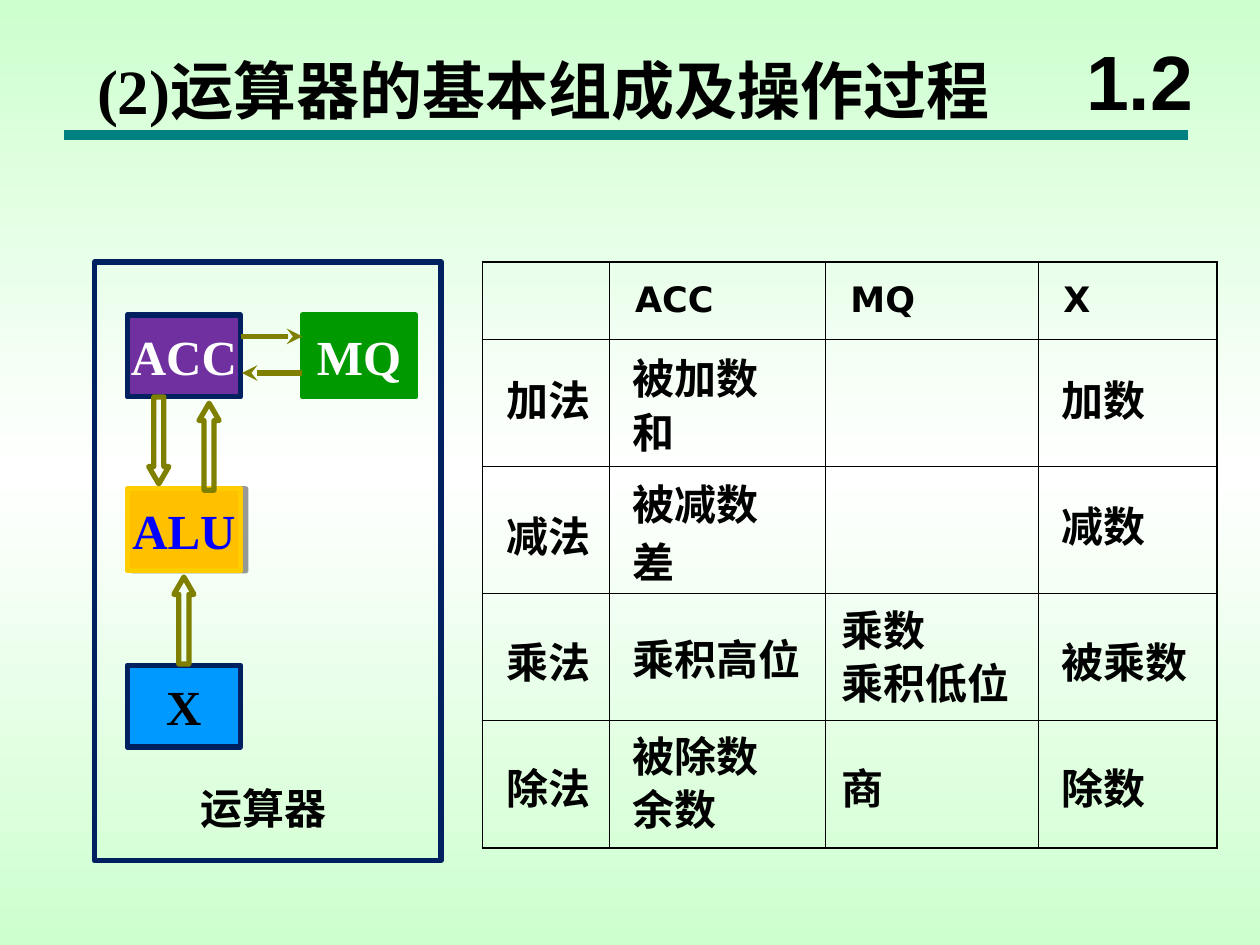
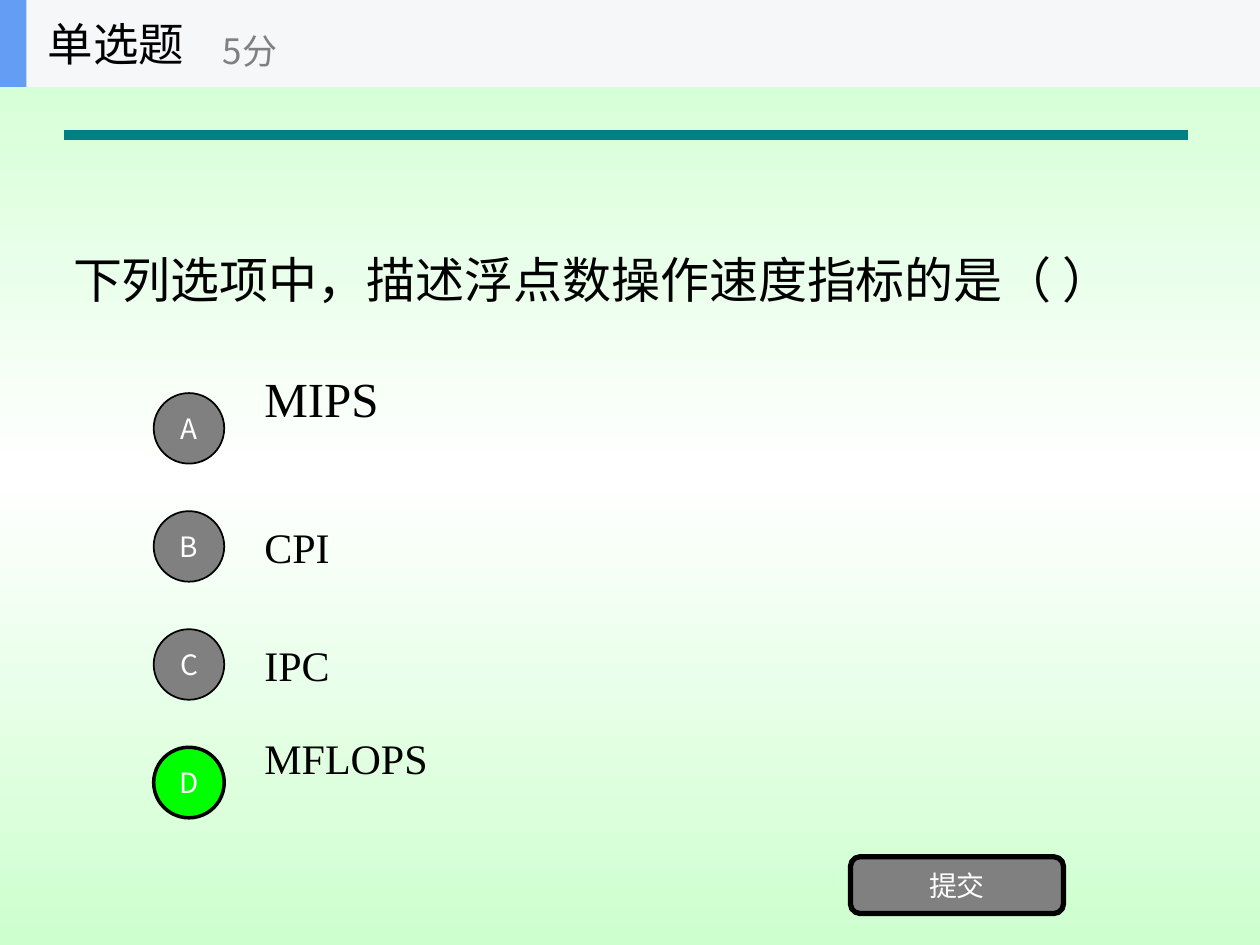
import copy

import pptx
import pptx.dml.color
import pptx.enum.shapes
import pptx.enum.text
import pptx.oxml.ns
import pptx.util
from lxml import etree

Inches, Pt = pptx.util.Inches, pptx.util.Pt
SHAPE = pptx.enum.shapes.MSO_SHAPE
LEFT, CENTER = pptx.enum.text.PP_ALIGN.LEFT, pptx.enum.text.PP_ALIGN.CENTER
TOP, MIDDLE = pptx.enum.text.MSO_ANCHOR.TOP, pptx.enum.text.MSO_ANCHOR.MIDDLE
qn = pptx.oxml.ns.qn

COLORS = {
    "black": "000000", "white": "FFFFFF", "mint": "CDFFCE", "teal": "008080",
    "navy": "002060", "green": "009900", "purple": "7030A0", "amber": "FFC000",
    "yellow": "FFCC00", "sky": "0099FF", "blue": "0000FF", "olive": "808000",
    "gray": "808080", "lime": "00FF00", "band": "F6F7F8", "accent": "639EF4",
}
SERIF, SANS, CJK = "Times New Roman", "Arial", "Noto Sans CJK SC"
TABLE_FONT = "DejaVu Sans"

# Slide 1
UNIT_TITLE = "(2)运算器的基本组成及操作过程"
SECTION = "1.2"
UNIT_NAME = "运算器"
REGISTERS = [  # label, left, top, fill, line, text colour, shadow
    ("MQ", 2.4, 2.5, "green", "green", "white", False),
    ("ACC", 1.01, 2.5, "purple", "navy", "white", False),
    ("ALU", 1.01, 3.88, "amber", "yellow", "blue", True),
    ("X", 1.01, 5.28, "sky", "navy", "black", False),
]
BLOCK_ARROWS = [(1.58, 3.2, 0), (1.38, 4.58, 0), (1.18, 3.15, 180)]
LINE_ARROWS = [(2.4, 2.96, 1.92), (1.91, 2.67, 2.4)]  # from x, y, to x

TABLE_HEADER = ["", "ACC", "MQ", "X"]
TABLE_COLS = [1.01, 1.71, 1.69, 1.42]
TABLE_ROWS = [0.61, 1.01, 1.01, 1.01, 1.01]
OPERANDS = [  # left, width, entries as (text, top)
    (3.92, 1.2, [("加法", 2.92), ("减法", 4), ("乘法", 5), ("除法", 6)]),
    (4.92, 2, [("被加数", 2.75), ("和", 3.18), ("被减数", 3.75), ("差", 4.21),
               ("乘积高位", 4.98), ("被除数", 5.75), ("余数", 6.17)]),
    (6.58, 2, [("乘数", 4.75), ("乘积低位", 5.17), ("商", 6)]),
    (8.33, 1.5, [("加数", 2.92), ("减数", 3.92), ("被乘数", 5), ("除数", 6)]),
]

# Slide 2
QUIZ_TYPE, QUIZ_POINTS, SUBMIT = "单选题", "5分", "提交"
QUESTION = "下列选项中，描述浮点数操作速度指标的是（ ）"
OPTIONS = [  # letter, answer, size, rise above the row
    ("A", "MIPS", 28, 0.24), ("B", "CPI", 24, 0),
    ("C", "IPC", 24, 0), ("D", "MFLOPS", 24, 0.2),
]
CORRECT = "D"


def rgb(name):
    return pptx.dml.color.RGBColor.from_string(COLORS[name])


def place(sp, left, top, width, height):
    sp.left, sp.top = Inches(left), Inches(top)
    sp.width, sp.height = Inches(width), Inches(height)


def write(tf, text, size, font=SERIF, color="black", bold=False,
          align=LEFT, anchor=TOP, wrap=True, margins=(0.1, 0.05)):
    tf.auto_size = pptx.enum.text.MSO_AUTO_SIZE.NONE
    tf.word_wrap = wrap
    tf.vertical_anchor = anchor
    tf.margin_left = tf.margin_right = Inches(margins[0])
    tf.margin_top = tf.margin_bottom = Inches(margins[1])
    style(tf.paragraphs[0], text, size, font, color, bold, align)


def style(p, text, size, font, color, bold, align=LEFT):
    p.text = text
    p.alignment = align
    p.font.size, p.font.bold, p.font.name = Pt(size), bold, font
    p.font.color.rgb = rgb(color)
    props = p._p.find(".//" + qn("a:defRPr"))
    etree.SubElement(props, qn("a:ea"), typeface=CJK)


def add_text(slide, box, text, size, **look):
    sp = slide.shapes.add_textbox(*map(Inches, box))
    write(sp.text_frame, text, size, **look)


def add_shape(slide, kind, box, fill=None, line=None, weight=3):
    sp = slide.shapes.add_shape(kind, *map(Inches, box))
    sp.shadow.inherit = False
    if fill:
        sp.fill.solid()
        sp.fill.fore_color.rgb = rgb(fill)
    else:
        sp.fill.background()
    if line:
        sp.line.color.rgb = rgb(line)
        sp.line.width = Pt(weight)
    else:
        sp.line.fill.background()
    return sp


def add_line(slide, x1, y1, x2, y2, color, weight, arrow=False):
    sp = slide.shapes.add_connector(
        pptx.enum.shapes.MSO_CONNECTOR.STRAIGHT, *map(Inches, (x1, y1, x2, y2)))
    sp.line.color.rgb = rgb(color)
    sp.line.width = Pt(weight)
    if arrow:
        etree.SubElement(sp.line._get_or_add_ln(), qn("a:tailEnd"), type="stealth")
    etree.SubElement(sp._element.spPr, qn("a:effectLst"))


def add_side_shadow(sp):
    effects = sp._element.spPr.find(qn("a:effectLst"))
    shadow = etree.SubElement(effects, qn("a:outerShdw"), blurRad="0",
                              dist=str(Pt(3)), dir="0", algn="ctr", rotWithShape="0")
    color = etree.SubElement(shadow, qn("a:srgbClr"), val=COLORS["black"])
    etree.SubElement(color, qn("a:alpha"), val="40000")


def set_borders(cell, weights):
    """Draw black borders; weights maps L, R, T, B to points."""
    props = cell._tc.get_or_add_tcPr()
    for side, weight in weights.items():
        ln = etree.SubElement(props, qn("a:ln" + side), w=str(Pt(weight)))
        fill = etree.SubElement(ln, qn("a:solidFill"))
        etree.SubElement(fill, qn("a:srgbClr"), val=COLORS["black"])


def set_background(master):
    fill = master.background.fill
    fill.gradient()
    fill.gradient_angle = 90
    stops = master.element.find(".//" + qn("a:gsLst"))
    middle = copy.deepcopy(stops[0])
    stops.insert(1, middle)
    for stop, pos, color in zip(fill.gradient_stops, (0, 0.5, 1), ("mint", "white", "mint")):
        stop.position = pos
        stop.color.rgb = rgb(color)


def new_slide(prs, title, box, size, **look):
    slide = prs.slides.add_slide(prs.slide_layouts[5])
    place(slide.shapes.title, *box)
    write(slide.shapes.title.text_frame, title, size, **look)
    add_line(slide, 0.51, 1.07, 9.43, 1.07, "teal", 6)
    return slide


def add_operand_table(slide):
    rows, cols = len(TABLE_ROWS), len(TABLE_COLS)
    box = (3.83, 2.08, sum(TABLE_COLS), sum(TABLE_ROWS))
    table = slide.shapes.add_table(rows, cols, *map(Inches, box)).table
    table.first_row = table.horz_banding = False
    for col, width in zip(table.columns, TABLE_COLS):
        col.width = Inches(width)
    for row, height in zip(table.rows, TABLE_ROWS):
        row.height = Inches(height)
    for r in range(rows):
        for c in range(cols):
            cell = table.cell(r, c)
            edges = {"L": c == 0, "R": c == cols - 1, "T": r == 0, "B": r == rows - 1}
            set_borders(cell, {side: 1.08 if outer else 0.45 for side, outer in edges.items()})
            cell.fill.background()
    for cell, text in zip(table.rows[0].cells, TABLE_HEADER):
        if text:
            cell.vertical_anchor = MIDDLE
            cell.margin_left = Inches(0.2)
            style(cell.text_frame.paragraphs[0], text, 20, TABLE_FONT, "black", True)


def build_unit_slide(prs):
    slide = new_slide(prs, UNIT_TITLE, (0.67, 0.36, 7.99, 0.7), 36, bold=True)
    add_operand_table(slide)
    add_text(slide, (8.42, 0.17, 1.25, 0.92), SECTION, 44, font=SANS, bold=True,
             align=CENTER, anchor=MIDDLE)

    add_shape(slide, SHAPE.RECTANGLE, (0.75, 2.08, 2.75, 4.75), line="navy")
    add_text(slide, (1.59, 6.21, 1, 0.4), UNIT_NAME, 24, font=CJK, bold=True,
             wrap=False, margins=(0, 0))
    for label, left, top, fill, line, color, shadow in REGISTERS:
        sp = add_shape(slide, SHAPE.RECTANGLE, (left, top, 0.9, 0.65), fill, line)
        write(sp.text_frame, label, 28, color=color, bold=True, align=CENTER,
              anchor=MIDDLE, wrap=False, margins=(0, 0))
        if shadow:
            add_side_shadow(sp)
    for left, top, rotation in BLOCK_ARROWS:
        sp = add_shape(slide, SHAPE.UP_ARROW, (left, top, 0.16, 0.69), line="olive")
        sp.adjustments[0], sp.adjustments[1] = 0.5, 0.86
        sp.rotation = rotation
    for start, y, end in LINE_ARROWS:
        add_line(slide, start, y, end, y, "olive", 3, arrow=True)

    for left, width, entries in OPERANDS:
        for text, top in entries:
            add_text(slide, (left, top, width, 0.5), text, 24, bold=True)


def build_quiz_slide(prs):
    slide = new_slide(prs, QUESTION, (0.48, 1.04, 8.49, 2.34), 28, anchor=MIDDLE)
    button = dict(font=CJK, color="white", align=CENTER, anchor=MIDDLE, wrap=False)
    for i, (letter, answer, size, rise) in enumerate(OPTIONS):
        top = 3.05 + 0.937 * i
        add_text(slide, (2, top - rise, 7, 0.7), answer, size, anchor=MIDDLE)
        fill, weight = ("lime", 2) if letter == CORRECT else ("gray", 1)
        sp = add_shape(slide, SHAPE.OVAL, (1.22, top + 0.07, 0.56, 0.56), fill, "black", weight)
        write(sp.text_frame, letter, 16, **button)
    sp = add_shape(slide, SHAPE.ROUNDED_RECTANGLE, (6.75, 6.8, 1.69, 0.45), "gray", "black")
    write(sp.text_frame, SUBMIT, 16, **button)

    add_shape(slide, SHAPE.RECTANGLE, (0, 0, 10, 0.69), "band")
    add_shape(slide, SHAPE.RECTANGLE, (0, 0, 0.21, 0.69), "accent")
    add_text(slide, (0.28, 0, 2.08, 0.69), QUIZ_TYPE, 26, font=CJK, anchor=MIDDLE)
    add_text(slide, (1.67, 0.12, 2.5, 0.56), QUIZ_POINTS, 20, font=CJK, color="gray",
             anchor=MIDDLE)


def main():
    prs = pptx.Presentation()
    prs.slide_width, prs.slide_height = Inches(10), Inches(7.5)
    set_background(prs.slide_master)
    build_unit_slide(prs)
    build_quiz_slide(prs)
    prs.save("out.pptx")


if __name__ == "__main__":
    main()
